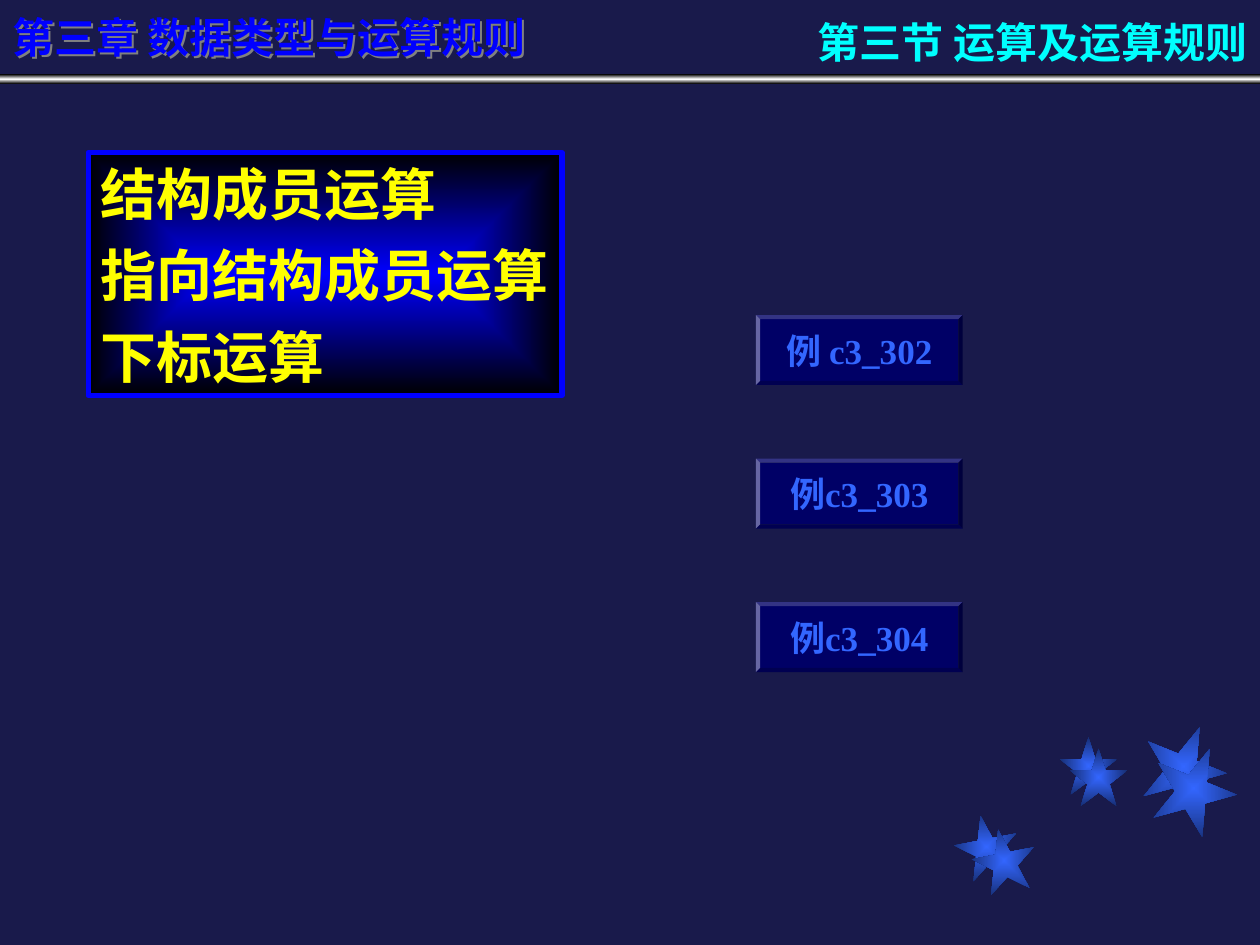
import pptx
import pptx.dml.color
import pptx.enum.shapes
import pptx.enum.text
import pptx.oxml
import pptx.oxml.ns
import pptx.util

Pt = pptx.util.Pt
RGBColor = pptx.dml.color.RGBColor
Shape = pptx.enum.shapes.MSO_SHAPE
Align = pptx.enum.text.PP_ALIGN
Anchor = pptx.enum.text.MSO_ANCHOR

NAVY = RGBColor(0x19, 0x1A, 0x4B)
BLUE = RGBColor(0x00, 0x00, 0xFF)
SKY = RGBColor(0x33, 0x66, 0xFF)
DEEP_SKY = RGBColor(0x17, 0x2F, 0x75)
BUTTON = RGBColor(0x00, 0x00, 0x66)
YELLOW = RGBColor(0xFF, 0xFF, 0x00)
CYAN = RGBColor(0x00, 0xFF, 0xFF)
GRAY = RGBColor(0x80, 0x80, 0x80)
BLACK = RGBColor(0x00, 0x00, 0x00)
WHITE = RGBColor(0xFF, 0xFF, 0xFF)

CHINESE = "Noto Sans CJK SC"
LATIN = "Times New Roman"
NAMESPACE = pptx.oxml.ns.nsdecls("a")
RADIAL = '<a:path path="rect"><a:fillToRect l="50000" t="50000" r="50000" b="50000"/></a:path>'
VERTICAL = '<a:lin ang="5400000" scaled="0"/>'

STARS = [
    (545.76, 465.84, 36, 349), (605.52, 421.2, 33, 0), (652.32, 414, 48.24, 22),
    (555.84, 473.76, 36, 349), (611.28, 427.68, 33, 0), (658.08, 426.24, 48.24, 22),
]


def apply_format(target, values):
    """Set each attribute named in a dict of format values."""
    for name, value in values.items():
        setattr(target, name, value)


def place(shape, left, top, width, height):
    """Move and size a shape, in points."""
    box = {"left": left, "top": top, "width": width, "height": height}
    apply_format(shape, {name: Pt(length) for name, length in box.items()})


def fill_gradient(shape, colors, direction):
    """Fill a shape with evenly spaced gradient colours."""
    step = 100000 // (len(colors) - 1)
    stops = "".join(
        f'<a:gs pos="{index * step}"><a:srgbClr val="{color}"/></a:gs>'
        for index, color in enumerate(colors))
    shape.fill.background()
    properties = shape._element.spPr
    no_fill = properties.find(pptx.oxml.ns.qn("a:noFill"))
    properties.replace(no_fill, pptx.oxml.parse_xml(
        f"<a:gradFill {NAMESPACE}><a:gsLst>{stops}</a:gsLst>{direction}</a:gradFill>"))


def write_text(shape, lines, size, color, font=CHINESE, align=Align.LEFT,
               anchor=Anchor.TOP, gap=0, line_spacing=None):
    """Write bold unbulleted paragraphs into a shape."""
    frame = shape.text_frame
    apply_format(frame, {
        "text": "\n".join(lines), "word_wrap": False, "vertical_anchor": anchor,
        "auto_size": pptx.enum.text.MSO_AUTO_SIZE.NONE})
    for index, paragraph in enumerate(frame.paragraphs):
        properties = paragraph._p.get_or_add_pPr()
        properties.set("marL", "0")
        properties.set("indent", "0")
        properties.append(pptx.oxml.parse_xml(f"<a:buNone {NAMESPACE}/>"))
        apply_format(paragraph, {
            "alignment": align, "space_before": Pt(gap if index else 0),
            "line_spacing": line_spacing})
        for run in paragraph.runs:
            apply_format(run.font, {"size": Pt(size), "bold": True, "name": font})
            run.font.color.rgb = color
            run.font._element.find(pptx.oxml.ns.qn("a:latin")).addnext(
                pptx.oxml.parse_xml(f'<a:ea {NAMESPACE} typeface="{CHINESE}"/>'))


def add_shape(slide, kind, left, top, width, height):
    """Add a preset shape without shadow or line."""
    shape = slide.shapes.add_shape(kind, Pt(left), Pt(top), Pt(width), Pt(height))
    shape.shadow.inherit = False
    shape.line.fill.background()
    return shape


def add_star(slide, left, top, size, rotation):
    """Add a rotated star with a glowing centre."""
    star = add_shape(slide, Shape.STAR_5_POINT, left, top, size, size)
    star.rotation = rotation
    fill_gradient(star, [SKY, DEEP_SKY], RADIAL)


def add_chapter_heading(slide, text):
    """Add the chapter heading, whose unfilled box casts a text shadow."""
    heading = slide.shapes.add_textbox(0, 0, Pt(354.24), Pt(41.76))
    write_text(heading, [text], 24, BLUE, anchor=Anchor.MIDDLE)
    heading._element.spPr.append(pptx.oxml.parse_xml(
        f'<a:effectLst {NAMESPACE}><a:outerShdw dist="17960" dir="2700000">'
        f'<a:srgbClr val="{GRAY}"/></a:outerShdw></a:effectLst>'))


def add_button(slide, top, text):
    """Add a bevelled example button."""
    button = add_shape(slide, Shape.BEVEL, 432, top, 118.08, 40)
    button.adjustments[0] = 0.06
    button.fill.solid()
    button.fill.fore_color.rgb = BUTTON
    write_text(button, [text], 20, SKY, LATIN, Align.CENTER, Anchor.MIDDLE)


def main():
    """Build the slide and save it."""
    presentation = pptx.Presentation()
    apply_format(presentation, {"slide_width": Pt(720), "slide_height": Pt(540)})
    slide = presentation.slides.add_slide(presentation.slide_layouts[1])
    slide.background.fill.solid()
    slide.background.fill.fore_color.rgb = NAVY

    for star in STARS:
        add_star(slide, *star)
    band = add_shape(slide, Shape.RECTANGLE, 0, 42.5, 720, 5.5)
    fill_gradient(band, [BLACK, WHITE, BLACK], VERTICAL)
    add_chapter_heading(slide, "第三章 数据类型与运算规则")

    title, body = slide.placeholders
    place(title, 460.08, 5.76, 259.92, 36)
    write_text(title, ["第三节 运算及运算规则"], 24, CYAN, align=Align.RIGHT)
    place(body, 50.4, 87.12, 270.72, 138.96)
    fill_gradient(body, [BLUE, BLACK], RADIAL)
    body.line.color.rgb = BLUE
    body.line.width = Pt(3)
    write_text(body, ["结构成员运算", "指向结构成员运算", "下标运算"], 32, YELLOW,
               gap=8, line_spacing=Pt(38.4))
    apply_format(body.text_frame, {"margin_right": 0, "margin_top": Pt(4.2)})

    for index, text in enumerate(["例 c3_302", "例c3_303", "例c3_304"]):
        add_button(slide, 180 + 82 * index, text)
    presentation.save("out.pptx")


if __name__ == "__main__":
    main()
